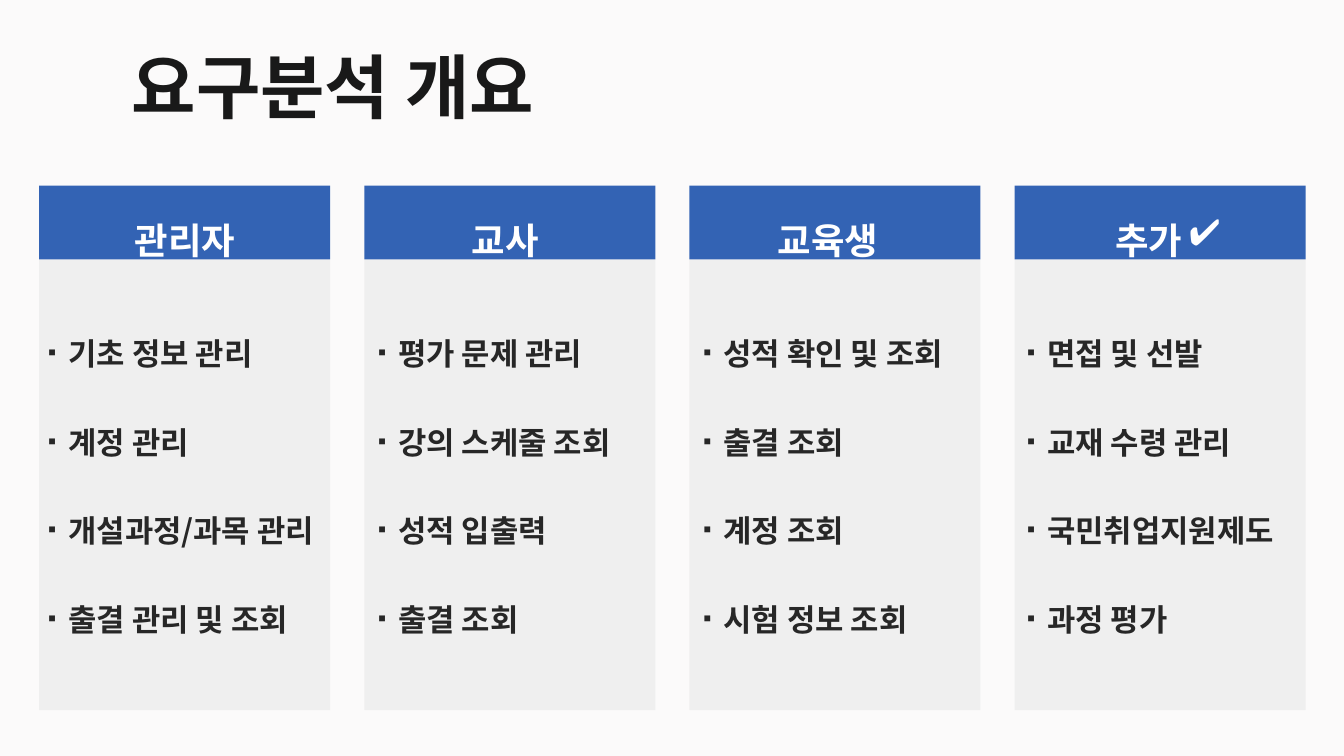
from lxml import etree
from pptx import Presentation
from pptx.dml.color import RGBColor
from pptx.enum.shapes import MSO_SHAPE
from pptx.enum.text import MSO_ANCHOR, MSO_AUTO_SIZE, PP_ALIGN
from pptx.oxml.ns import qn
from pptx.util import Cm, Pt

RECTANGLE = MSO_SHAPE.RECTANGLE
TOP = MSO_ANCHOR.TOP
NO_AUTO_SIZE = MSO_AUTO_SIZE.NONE
LEFT, CENTER, JUSTIFY = PP_ALIGN.LEFT, PP_ALIGN.CENTER, PP_ALIGN.JUSTIFY

FONT = "Noto Sans CJK KR"
BACKGROUND = RGBColor(0xFB, 0xFA, 0xFA)
PANEL = RGBColor(0xEF, 0xEF, 0xEF)
HEADER = RGBColor(0x33, 0x63, 0xB4)
TITLE_INK = RGBColor(0x19, 0x19, 0x19)
LIST_INK = RGBColor(0x27, 0x27, 0x27)
WHITE = RGBColor(0xFF, 0xFF, 0xFF)

COMPARISON_LAYOUT = 4
COLUMN_LEFT, COLUMN_TOP, COLUMN_PITCH = 1.48, 7.02, 12.29
COLUMN_WIDTH, COLUMN_HEIGHT = 11, 19.83
HEADER_HEIGHT = 2.79
MARKER, MARKER_SIZE = "⠂", 32

COLUMNS = [
    ("관리자", 0.36, 0.22,
     ["기초 정보 관리", "계정 관리", "개설과정/과목 관리", "출결 관리 및 조회"]),
    ("교사", 0.18, 0.4,
     ["평가 문제 관리", "강의 스케줄 조회", "성적 입출력", "출결 조회"]),
    ("교육생", 0.08, 0.4,
     ["성적 확인 및 조회", "출결 조회", "계정 조회", "시험 정보 조회"]),
    ("추가", -0.08, 0.35,
     ["면접 및 선발", "교재 수령 관리", "국민취업지원제도", "과정 평가"]),
]


def place(shape, left, top, width, height):
    """Move a shape to a box in centimetres and bring it to the front."""
    shape.left, shape.top = Cm(left), Cm(top)
    shape.width, shape.height = Cm(width), Cm(height)
    shape.element.getparent().append(shape.element)


def write(shape, lines, size, color, alignment, line_spacing, gap=0):
    """Fill a shape with one unbulleted bold paragraph per line."""
    frame = shape.text_frame
    frame.auto_size = NO_AUTO_SIZE
    frame.word_wrap = True
    frame.vertical_anchor = TOP
    frame.margin_left = frame.margin_right = 0
    frame.margin_top = frame.margin_bottom = 0
    frame.text = "\n".join(lines)
    for index, paragraph in enumerate(frame.paragraphs):
        properties = paragraph._p.get_or_add_pPr()
        properties.set("marL", "0")
        properties.set("indent", "0")
        etree.SubElement(properties, qn("a:buNone"))
        paragraph.alignment = alignment
        paragraph.line_spacing = line_spacing
        paragraph.space_before = Pt(gap if index else 0)
        font = paragraph.font
        font.size, font.bold, font.name = Pt(size), True, FONT
        font.color.rgb = color
        east_asian = etree.SubElement(properties.find(qn("a:defRPr")), qn("a:ea"))
        east_asian.set("typeface", FONT)


def add_block(slide, left, top, width, height, color):
    """Add a plain filled rectangle."""
    block = slide.shapes.add_shape(RECTANGLE, Cm(left), Cm(top), Cm(width), Cm(height))
    block.shadow.inherit = False
    block.fill.solid()
    block.fill.fore_color.rgb = color
    block.line.fill.background()


def add_label(slide, left, top, width, height, text):
    """Add centred white heading text."""
    label = slide.shapes.add_textbox(Cm(left), Cm(top), Cm(width), Cm(height))
    write(label, [text], 39, WHITE, CENTER, 1.4)


def add_title(slide, left, top, width, height):
    """Place the slide title in its box."""
    place(slide.shapes.title, left, top, width, height)
    write(slide.shapes.title, ["요구분석 개요"], 75, TITLE_INK, LEFT, 1.2)


def add_list(placeholder, left, top, width, height, items):
    """Place a list whose markers are slightly smaller than its words."""
    place(placeholder, left, top, width, height)
    write(placeholder, [MARKER] * len(items), 33, LIST_INK, JUSTIFY, 1.2, 47.5)
    for paragraph, item in zip(placeholder.text_frame.paragraphs, items):
        paragraph.runs[0].font.size = Pt(MARKER_SIZE)
        paragraph.add_run().text = item


def add_column(slide, placeholder, left, top, width, height, column):
    """Build one role column: panel, header and list."""
    heading, heading_offset, list_offset, items = column
    add_block(slide, left, top + HEADER_HEIGHT, width, height - HEADER_HEIGHT, PANEL)
    add_block(slide, left, top, width, HEADER_HEIGHT, HEADER)
    add_label(slide, left + heading_offset, top + 0.58, 10.31, 1.68, heading)
    add_list(placeholder, left + list_offset, top + 5.36, 10.49, 11.58, items)


def main():
    """Build and save the requirements overview."""
    presentation = Presentation()
    presentation.slide_width, presentation.slide_height = Cm(50.8), Cm(28.58)
    slide = presentation.slides.add_slide(presentation.slide_layouts[COMPARISON_LAYOUT])
    slide.background.fill.solid()
    slide.background.fill.fore_color.rgb = BACKGROUND
    placeholders = [slide.placeholders[index] for index in range(1, 5)]
    add_title(slide, 4.98, 1.02, 36.12, 3.2)
    for index, (placeholder, column) in enumerate(zip(placeholders, COLUMNS)):
        add_column(slide, placeholder, COLUMN_LEFT + index * COLUMN_PITCH, COLUMN_TOP,
                   COLUMN_WIDTH, COLUMN_HEIGHT, column)
    add_label(slide, 43.54, 7.26, 4, 1.68, "✔")
    presentation.save("out.pptx")


if __name__ == "__main__":
    main()
